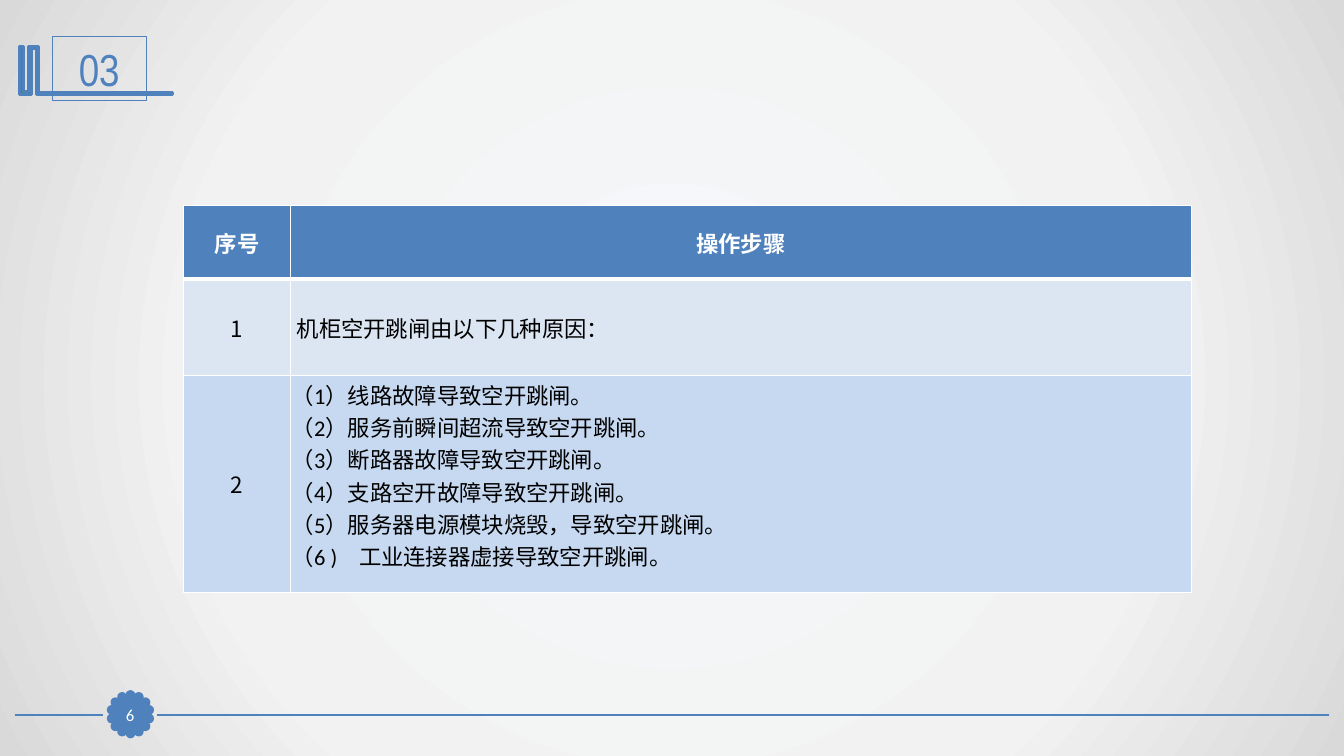
"""Build the slide on the causes of cabinet breaker trips."""
from dataclasses import dataclass
from math import cos, pi, sin

from lxml.etree import SubElement
from pptx import Presentation
from pptx.dml.color import RGBColor
from pptx.enum.shapes import MSO_CONNECTOR, MSO_SHAPE
from pptx.enum.text import MSO_ANCHOR, MSO_AUTO_SIZE, PP_ALIGN
from pptx.oxml import parse_xml
from pptx.oxml.ns import nsdecls, qn
from pptx.util import Pt

BLUE, WHITE, BLACK, GREEN = "4F81BD", "FFFFFF", "000000", "339933"
CJK, LATIN, NARROW = "Noto Sans CJK SC", "Calibri", "Arial Narrow"


@dataclass
class Step:
    number: str
    lines: list[str]
    height: float
    fill: str
    color: str = BLACK
    bold: bool = False
    font: str = LATIN
    align: PP_ALIGN = PP_ALIGN.LEFT
    left: float = 1
    bottom: float = 0


@dataclass
class Rule:
    start: float
    end: float


STEPS = [
    Step("序号", ["操作步骤"], 52.5, BLUE, WHITE, True, CJK, PP_ALIGN.CENTER),
    Step("1", ["机柜空开跳闸由以下几种原因："], 68.5, "DCE6F2", left=4.5),
    Step("2", [
        "（1）线路故障导致空开跳闸。",
        "（2）服务前瞬间超流导致空开跳闸。",
        "（3）断路器故障导致空开跳闸。",
        "（4）支路空开故障导致空开跳闸。",
        "（5）服务器电源模块烧毁，导致空开跳闸。",
        "（6 )\t工业连接器虚接导致空开跳闸。",
    ], 155.5, "C6D9F1", bottom=13.5),
]
RULES = [Rule(949, 112.3), Rule(73.4, 10.8)]
EMBLEM = [(26.6, 33.1), (27.4, 33.1), (27.4, 66.2), (123.1, 66.2), (123.1, 67.7),
          (26.6, 67.7), (25.9, 67.7), (25.9, 34.6), (22.3, 34.6), (22.3, 67.7),
          (13.7, 67.7), (13.7, 33.1), (16.6, 33.1), (16.6, 65.5), (20.2, 65.5),
          (20.2, 33.1)]
PETALS, PETAL_SIZE, BADGE_X, BADGE_Y, BADGE_RADIUS = 14, 5, 93.2, 510.2, 13.7


def paint(target, color: str) -> None:
    """Give a fill one solid colour."""
    target.solid()
    target.fore_color.rgb = RGBColor.from_string(color)


def finish(shape, fill: str, width: float) -> None:
    """Set a shape's fill and blue outline, without a shadow."""
    shape.shadow.inherit = False
    paint(shape.fill, fill)
    paint(shape.line.fill, BLUE)
    shape.line.width = Pt(width)


def write(frame, lines: list[str], size: float, font: str, color: str,
          align: PP_ALIGN = PP_ALIGN.CENTER, bold: bool = False) -> None:
    """Write formatted paragraphs into a text frame."""
    frame.text = "\n".join(lines)
    for paragraph in frame.paragraphs:
        paragraph.alignment = align
        if "\t" in paragraph.text:
            tabs = SubElement(paragraph._p.get_or_add_pPr(), qn("a:tabLst"))
            SubElement(tabs, qn("a:tab"), pos=str(Pt(48)), algn="l")
        for run in paragraph.runs:
            run.font.size, run.font.name, run.font.bold = Pt(size), font, bold
            run.font.color.rgb = RGBColor.from_string(color)
            east_asian = parse_xml(f'<a:ea {nsdecls("a")} typeface="{CJK}"/>')
            run.font._element.find(qn("a:latin")).addnext(east_asian)


def set_background(slide) -> None:
    """Fill the background with a radial grey gradient."""
    slide.background.fill.gradient()
    stops = "".join(
        f'<a:gs pos="{position}000"><a:srgbClr val="{color}"/></a:gs>'
        for position, color in [(0, "F6F9FC"), (63, "F2F2F2"), (100, "D9D9D9")])
    radial = parse_xml(
        f'<a:gradFill {nsdecls("a")} rotWithShape="1"><a:gsLst>{stops}</a:gsLst>'
        '<a:path path="circle"><a:fillToRect l="50000" t="50000" r="50000" b="50000"/>'
        '</a:path></a:gradFill>')
    linear = slide.element.find(".//" + qn("a:gradFill"))
    linear.getparent().replace(linear, radial)


def add_rule(slide, rule: Rule) -> None:
    """Draw one part of the footer rule."""
    line = slide.shapes.add_connector(
        MSO_CONNECTOR.STRAIGHT, Pt(rule.start), Pt(510.5), Pt(rule.end), Pt(510.5))
    paint(line.line.fill, BLUE)
    line.line.width = Pt(1.25)
    SubElement(line._element.spPr, qn("a:effectLst"))


def add_badge(slide) -> None:
    """Draw the scalloped badge with the page number."""
    for index in range(PETALS):
        angle = 2 * pi * index / PETALS
        left = BADGE_X + BADGE_RADIUS * sin(angle) - PETAL_SIZE / 2
        top = BADGE_Y - BADGE_RADIUS * cos(angle) - PETAL_SIZE / 2
        petal = slide.shapes.add_shape(
            MSO_SHAPE.OVAL, Pt(left), Pt(top), Pt(PETAL_SIZE), Pt(PETAL_SIZE))
        finish(petal, BLUE, 2)
    page = slide.shapes.add_shape(
        MSO_SHAPE.RECTANGLE, Pt(81.5), Pt(499), Pt(23), Pt(22.5))
    finish(page, BLUE, 0.75)
    frame = page.text_frame
    frame.margin_left = frame.margin_right = frame.margin_top = frame.margin_bottom = 0
    frame.vertical_anchor = MSO_ANCHOR.MIDDLE
    write(frame, ["6"], 12, LATIN, WHITE)


def add_heading(slide) -> None:
    """Draw the emblem and the framed section number."""
    corners = [(Pt(x), Pt(y)) for x, y in EMBLEM]
    builder = slide.shapes.build_freeform(*corners[0])
    builder.add_line_segments(corners[1:], close=True)
    finish(builder.convert_to_shape(), GREEN, 2)
    title = slide.shapes.title
    title.left, title.top, title.width, title.height = Pt(37.4), Pt(26), Pt(67), Pt(46)
    paint(title.line.fill, BLUE)
    title.line.width = Pt(0.75)
    title.text_frame.auto_size = MSO_AUTO_SIZE.NONE
    title.text_frame.vertical_anchor = MSO_ANCHOR.MIDDLE
    write(title.text_frame, ["03"], 32, NARROW, BLUE)


def style_cell(cell, fill: str, top: float, bottom: float) -> None:
    """Set a cell's white borders, fill and anchor."""
    properties = cell._tc.get_or_add_tcPr()
    for side, width in [("L", 1), ("R", 1), ("T", top), ("B", bottom)]:
        properties.append(parse_xml(
            f'<a:ln{side} {nsdecls("a")} w="{Pt(width)}"><a:solidFill>'
            f'<a:srgbClr val="{WHITE}"/></a:solidFill></a:ln{side}>'))
    paint(cell.fill, fill)
    cell.vertical_anchor = MSO_ANCHOR.MIDDLE


def add_steps(slide) -> None:
    """Draw the table of steps."""
    table = slide.shapes.add_table(
        len(STEPS), 2, Pt(131.2), Pt(147), Pt(720), Pt(276.5)).table
    table.columns[0].width, table.columns[1].width = Pt(76.3), Pt(643.7)
    for index, step in enumerate(STEPS):
        table.rows[index].height = Pt(step.height)
        number, action = table.cell(index, 0), table.cell(index, 1)
        for cell in (number, action):
            style_cell(cell, step.fill, 3 if index == 1 else 1, 3 if index == 0 else 1)
        write(number.text_frame, [step.number], 16, CJK, step.color, bold=step.bold)
        action.margin_left, action.margin_bottom = Pt(step.left), Pt(step.bottom)
        action.margin_right = action.margin_top = Pt(1)
        write(action.text_frame, step.lines, 16, step.font, step.color,
              step.align, step.bold)


def main() -> None:
    """Build and save the presentation."""
    presentation = Presentation()
    presentation.slide_width, presentation.slide_height = Pt(960), Pt(540)
    slide = presentation.slides.add_slide(presentation.slide_layouts[5])
    set_background(slide)
    for rule in RULES:
        add_rule(slide, rule)
    add_badge(slide)
    add_heading(slide)
    add_steps(slide)
    presentation.save("out.pptx")


if __name__ == "__main__":
    main()
